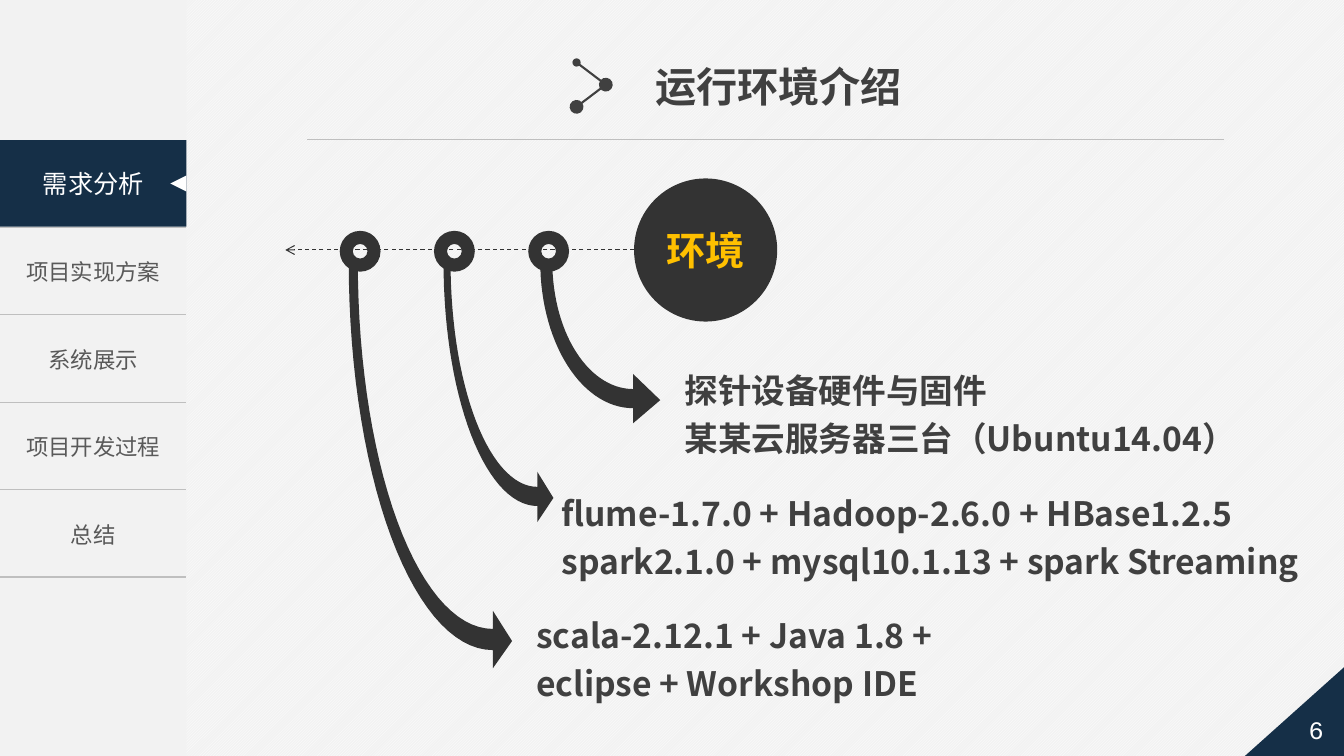
import math
from dataclasses import dataclass

import lxml.etree
import pptx
import pptx.dml.color
import pptx.enum.dml
import pptx.enum.shapes
import pptx.enum.text
import pptx.oxml
import pptx.oxml.ns
import pptx.util

SHAPES = pptx.enum.shapes.MSO_SHAPE
ALIGN = pptx.enum.text.PP_ALIGN
ANCHOR = pptx.enum.text.MSO_ANCHOR
CELL = pptx.util.Inches(0.1)
COLUMNS, ROWS = 133.33, 75
MENU_WIDTH, MENU_TOP, MENU_ROW = 18.5, 13.9, 8.67


@dataclass(frozen=True)
class Theme:
    paper: str = "F2F2F2"
    white: str = "FFFFFF"
    navy: str = "152F47"
    dark: str = "333333"
    text: str = "404040"
    muted: str = "595959"
    rule: str = "BFBFBF"
    gold: str = "FFC000"
    font: str = "Noto Sans CJK SC"
    title_font: str = "Arial"
    number_font: str = "Courier New"
    title_size: float = 29.4
    hub_size: float = 28
    body_size: float = 24
    active_size: float = 18
    menu_size: float = 16


THEME = Theme()


def grid(*cells):
    return [round(cell * CELL) for cell in cells]


def color(value):
    return pptx.dml.color.RGBColor.from_string(value)


def set_attributes(target, values):
    for name, value in values.items():
        setattr(target, name, value)


def write_text(frame, lines, size, ink, font=THEME.font, bold=False,
               align=ALIGN.CENTER, spacing=1.0, **frame_values):
    set_attributes(frame, frame_values)
    for index, line in enumerate(lines):
        paragraph = frame.add_paragraph() if index else frame.paragraphs[0]
        set_attributes(paragraph, {"alignment": align, "line_spacing": spacing})
        run = paragraph.add_run()
        run.text = line
        set_attributes(run.font, {"size": pptx.util.Pt(size), "bold": bold, "name": font})
        run.font.color.rgb = color(ink)
        east_asian = lxml.etree.SubElement(
            run._r.get_or_add_rPr(), pptx.oxml.ns.qn("a:ea"))
        east_asian.set("typeface", THEME.font)


def paint(shape, fill):
    shape.shadow.inherit = False
    shape.fill.solid()
    shape.fill.fore_color.rgb = color(fill)
    shape.line.fill.background()
    return shape


def add_block(slide, kind, box, fill):
    return paint(slide.shapes.add_shape(kind, *grid(*box)), fill)


def add_line(slide, start, end, ink, width, dash=None, **ends):
    line = slide.shapes.add_connector(
        pptx.enum.shapes.MSO_CONNECTOR.STRAIGHT, *grid(*start, *end))
    line.line.color.rgb = color(ink)
    set_attributes(line.line, {"width": pptx.util.Pt(width), "dash_style": dash})
    outline = line.line._get_or_add_ln()
    for tag, (kind, size) in ends.items():
        tip = lxml.etree.SubElement(outline, pptx.oxml.ns.qn(f"a:{tag}"))
        for name, value in {"type": kind, "w": size, "len": size}.items():
            tip.set(name, value)
    lxml.etree.SubElement(line._element.spPr, pptx.oxml.ns.qn("a:effectLst"))


def add_note(slide, box, lines):
    note = slide.shapes.add_textbox(*grid(*box))
    side, edge = grid(0.8, 0.4)
    write_text(note.text_frame, lines, THEME.body_size, THEME.text, bold=True,
               align=ALIGN.LEFT, spacing=1.2, word_wrap=True,
               margin_left=side, margin_right=side, margin_top=edge, margin_bottom=edge)


def quarter_curve(left, right, top, bottom, steps=30):
    angles = [math.pi / 2 * step / steps for step in range(steps + 1)]
    return [(right - (right - left) * math.cos(angle),
             top + (bottom - top) * math.sin(angle)) for angle in angles]


def add_curved_arrow(slide, top, outer, inner, right, head_top, tip, head_bottom):
    outer_curve = quarter_curve(outer[0], right, top, outer[1])
    inner_curve = quarter_curve(inner[0], right, top, inner[1])
    points = outer_curve[::-1] + inner_curve + [(right, head_top), tip, (right, head_bottom)]
    places = [grid(*point) for point in points]
    builder = slide.shapes.build_freeform(*places[0], scale=1.0)
    builder.add_line_segments(places[1:], close=True)
    paint(builder.convert_to_shape(), THEME.dark)


def border_cell(cell):
    properties = cell._tc.get_or_add_tcPr()
    for index, (side, fill) in enumerate([
            ("L", "<a:noFill/>"), ("R", "<a:noFill/>"),
            *((edge, f'<a:solidFill><a:srgbClr val="{THEME.rule}"/></a:solidFill>')
              for edge in "TB")]):
        properties.insert(index, pptx.oxml.parse_xml(
            f'<a:ln{side} {pptx.oxml.ns.nsdecls("a")} w="12700">{fill}</a:ln{side}>'))


def add_menu(slide, active, entries):
    add_block(slide, SHAPES.RECTANGLE, (0, 0, MENU_WIDTH, ROWS), THEME.paper)
    count = len(entries) + 1
    table = slide.shapes.add_table(
        count, 1, *grid(0, MENU_TOP, MENU_WIDTH, MENU_ROW * count)).table
    set_attributes(table, {"first_row": False, "horz_banding": False})
    for index in range(count):
        cell = table.cell(index, 0)
        cell.fill.background()
        border_cell(cell)
        cell.vertical_anchor = ANCHOR.MIDDLE
        if index:
            write_text(cell.text_frame, [entries[index - 1]], THEME.menu_size, THEME.muted)
    tab = add_block(slide, SHAPES.RECTANGLE, (0, MENU_TOP, MENU_WIDTH, 8.6), THEME.navy)
    write_text(tab.text_frame, [active], THEME.active_size, THEME.white,
               vertical_anchor=ANCHOR.MIDDLE)
    marker = add_block(slide, SHAPES.ISOSCELES_TRIANGLE, (16.9, 17.4, 1.6, 1.6), THEME.white)
    marker.rotation = 270


def add_heading(slide, text):
    title = slide.shapes.title
    left, top, width, height = grid(64, 5.6, 40, 5.9)
    set_attributes(title, {"left": left, "top": top, "width": width, "height": height})
    write_text(title.text_frame, [text], THEME.title_size, THEME.text, THEME.title_font,
               bold=True, align=ALIGN.LEFT, word_wrap=True,
               auto_size=pptx.enum.text.MSO_AUTO_SIZE.NONE, vertical_anchor=ANCHOR.MIDDLE)
    add_line(slide, (30.5, 13.85), (121.4, 13.85), THEME.rule, 0.5)
    joints = [(57.2, 6.2), (60.1, 8.4), (57.2, 10.6)]
    for start, end in zip(joints, joints[1:]):
        add_line(slide, start, end, THEME.text, 1.5,
                 headEnd=("oval", "med"), tailEnd=("oval", "lg"))


def add_page_number(slide, number):
    corner = add_block(slide, SHAPES.RIGHT_TRIANGLE, (123.5, 66.2, 9.83, 8.8), THEME.navy)
    corner._element.spPr.get_or_add_xfrm().set("flipH", "1")
    box = slide.shapes.add_textbox(*grid(127.8, 69.7, COLUMNS - 127.8, 5.3))
    write_text(box.text_frame, [number], THEME.active_size, THEME.white, THEME.number_font,
               word_wrap=True, vertical_anchor=ANCHOR.MIDDLE)


def add_hub(slide, text):
    hub = add_block(slide, SHAPES.OVAL, (62.9, 17.7, 14.2, 14.2), THEME.dark)
    write_text(hub.text_frame, [text], THEME.hub_size, THEME.gold, bold=True,
               vertical_anchor=ANCHOR.MIDDLE, margin_left=0, margin_right=0)
    add_line(slide, (62.9, 24.8), (28.3, 24.8), THEME.dark, 0.75,
             pptx.enum.dml.MSO_LINE.DASH, tailEnd=("arrow", "med"))
    for index in range(3):
        ring = add_block(slide, SHAPES.DONUT, (33.7 + 9.35 * index, 22.9, 4.05, 4.05), THEME.dark)
        ring.adjustments[0] = 0.32


def main():
    presentation = pptx.Presentation()
    width, height = grid(COLUMNS, ROWS)
    set_attributes(presentation, {"slide_width": width, "slide_height": height})
    slide = presentation.slides.add_slide(presentation.slide_layouts[5])
    background = slide.background.fill
    background.patterned()
    background.pattern = pptx.enum.dml.MSO_PATTERN.LIGHT_UPWARD_DIAGONAL
    background.fore_color.rgb = color(THEME.white)
    background.back_color.rgb = color(THEME.paper)

    add_menu(slide, "需求分析", ["项目实现方案", "系统展示", "项目开发过程", "总结"])
    add_heading(slide, "运行环境介绍")
    add_page_number(slide, "6")
    add_hub(slide, "环境")
    for arrow in [
        ((53.6, 40.5), (54.8, 38.6), 62.8, 37.1, (65.5, 39.7), 42),
        ((44, 50.2), (44.7, 48.3), 53.3, 46.8, (54.9, 49.4), 51.8),
        ((34.6, 64.5), (35.5, 62.4), 48.9, 60.6, (50.8, 63.6), 66.3),
    ]:
        add_curved_arrow(slide, 26, *arrow)
    for box, lines in [
        ((67.1, 35.5, 58.2, 10.5), ["探针设备硬件与固件", "某某云服务器三台（Ubuntu14.04）"]),
        ((54.9, 47.7, 78.4, 10.5), ["flume-1.7.0 + Hadoop-2.6.0 + HBase1.2.5",
                                    "spark2.1.0 + mysql10.1.13 + spark Streaming"]),
        ((52.4, 59.8, 79.5, 10.5), ["scala-2.12.1 + Java 1.8 +", "eclipse + Workshop IDE"]),
    ]:
        add_note(slide, box, lines)
    presentation.save("out.pptx")


if __name__ == "__main__":
    main()
